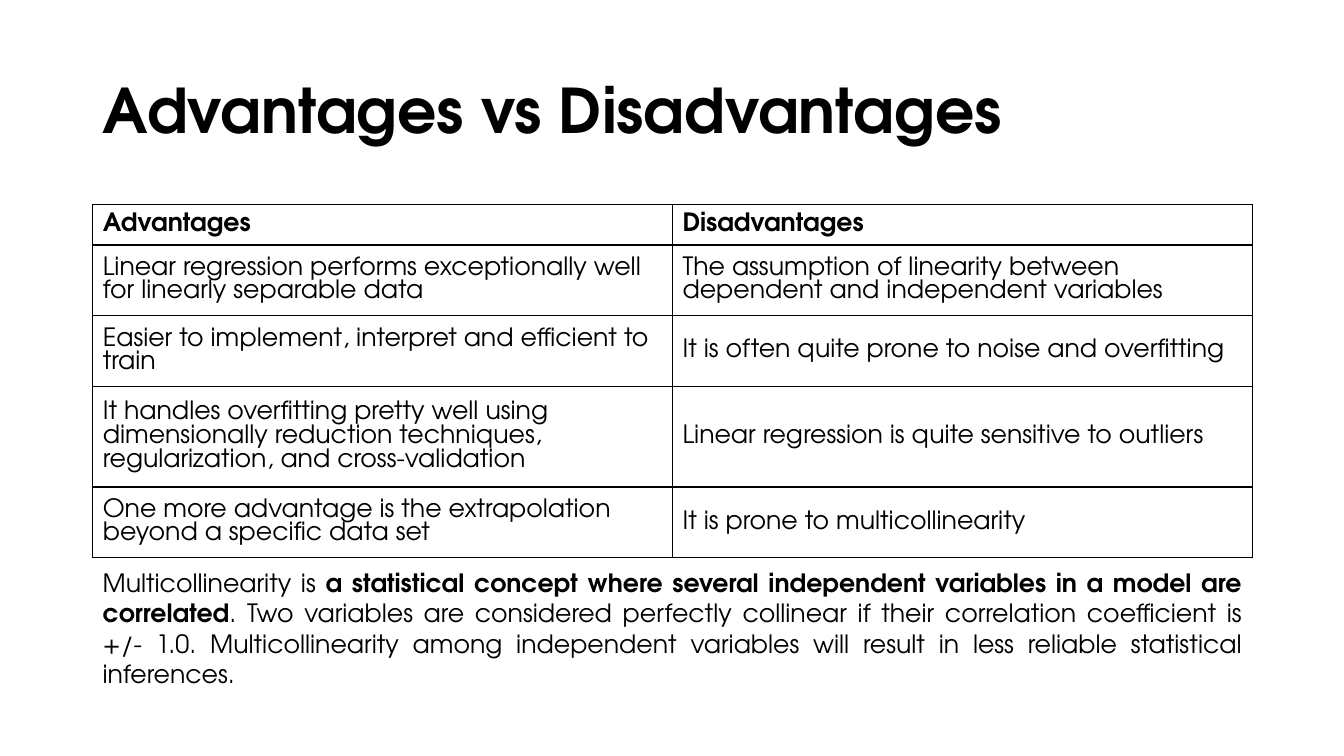
from lxml import etree
from pptx import Presentation
from pptx.dml.color import RGBColor
from pptx.enum.text import MSO_ANCHOR as Anchor, MSO_AUTO_SIZE as AutoSize, PP_ALIGN as Align
from pptx.oxml.ns import qn
from pptx.util import Inches, Pt

BLACK = RGBColor(0x00, 0x00, 0x00)
FONT = "TeX Gyre Adventor"
LEFT, WIDTH = 0.92, 11.5

ROW_HEIGHTS = [0.39, 0.69, 0.39, 0.98, 0.69]
ROWS = [
    ("Advantages", "Disadvantages"),
    ("Linear regression performs exceptionally well for linearly separable data",
     "The assumption of linearity between dependent and independent variables"),
    ("Easier to implement, interpret and efficient to train",
     "It is often quite prone to noise and overfitting"),
    ("It handles overfitting pretty well using dimensionally reduction techniques, "
     "regularization, and cross-validation",
     "Linear regression is quite sensitive to outliers"),
    ("One more advantage is the extrapolation beyond a specific data set",
     "It is prone to multicollinearity"),
]
# Each run: text, bold
DEFINITION = [
    ("Multicollinearity is ", False),
    ("a statistical concept where several independent variables in a model are correlated", True),
    (". Two variables are considered perfectly collinear if their correlation coefficient "
     "is +/- 1.0. Multicollinearity among independent variables will result in less "
     "reliable statistical inferences.", False),
]


def write_runs(p, runs, size=18, **para_format):
    """Fill a paragraph with (text, bold) runs."""
    for name, value in para_format.items():
        setattr(p, name, value)
    for text, bold in runs:
        r = p.add_run()
        r.text = text
        for name, value in {"name": FONT, "size": Pt(size), "bold": bold}.items():
            setattr(r.font, name, value)
        r.font.color.rgb = BLACK


def add_text(s, top, height, runs, frame_format, **para_format):
    """Add a full-width wrapped text box."""
    sp = s.shapes.add_textbox(Inches(LEFT), Inches(top), Inches(WIDTH), Inches(height))
    tf = sp.text_frame
    for name, value in {"word_wrap": True, **frame_format}.items():
        setattr(tf, name, value)
    write_runs(tf.paragraphs[0], runs, **para_format)


def add_borders(cell):
    """Draw a thin line on all four sides of a cell."""
    tc_pr = cell._tc.get_or_add_tcPr()
    for i, side in enumerate(("lnL", "lnR", "lnT", "lnB")):
        ln = etree.Element(qn(f"a:{side}"), w=str(Pt(1)))
        fill = etree.SubElement(ln, qn("a:solidFill"))
        etree.SubElement(fill, qn("a:srgbClr"), val=str(BLACK))
        tc_pr.insert(i, ln)


def add_comparison(s, top, height):
    """Add the two-column table."""
    frame = s.shapes.add_table(len(ROWS), 2, Inches(LEFT), Inches(top),
                               Inches(WIDTH), Inches(height))
    table = frame.table
    table.horz_banding = False
    for col in table.columns:
        col.width = Inches(WIDTH / 2)
    for i, (row, texts) in enumerate(zip(table.rows, ROWS)):
        row.height = Inches(ROW_HEIGHTS[i])
        for cell, text in zip(row.cells, texts):
            cell.fill.background()
            cell.vertical_anchor = Anchor.MIDDLE
            add_borders(cell)
            write_runs(cell.text_frame.paragraphs[0], [(text, i == 0)])


def main():
    prs = Presentation()
    prs.slide_width, prs.slide_height = Inches(13.33), Inches(7.5)
    s = prs.slides.add_slide(prs.slide_layouts[6])

    # Title
    add_text(s, 0.4, 1.45, [("Advantages vs Disadvantages", True)],
             {"vertical_anchor": Anchor.MIDDLE}, size=44, line_spacing=0.9)
    # Comparison table
    add_comparison(s, 2.03, sum(ROW_HEIGHTS))
    # Definition below the table
    add_text(s, 5.58, 1.31, DEFINITION,
             {"auto_size": AutoSize.SHAPE_TO_FIT_TEXT}, alignment=Align.JUSTIFY)

    prs.save("out.pptx")


if __name__ == "__main__":
    main()
